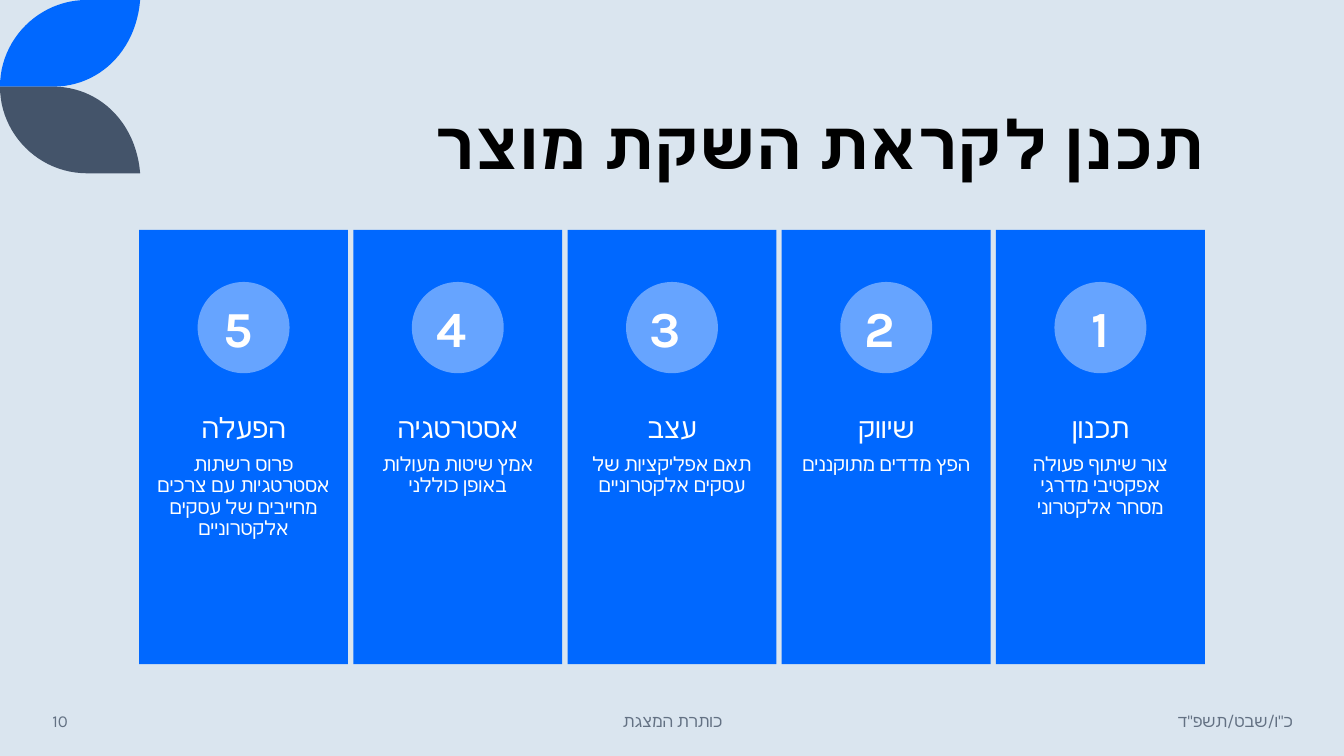
import pptx
import pptx.dml.color
import pptx.enum.shapes
import pptx.enum.text
import pptx.oxml
import pptx.oxml.ns
import pptx.util

SLIDE_WIDTH, SLIDE_HEIGHT = 13.33, 7.5
FONT = "Karla"
COLORS = {
    "background": "DAE5EF",
    "blue": "0068FF",
    "light_blue": "66A4FF",
    "slate": "44546A",
    "title": "000000",
    "white": "FFFFFF",
    "footer": "637183",
}
ALIGN = pptx.enum.text.PP_ALIGN
ANCHOR = pptx.enum.text.MSO_ANCHOR
SHAPE = pptx.enum.shapes.MSO_SHAPE

TITLE = "תכנן לקראת השקת מוצר"
STEPS = [
    ("תכנון", "צור שיתוף פעולה אפקטיבי מדרגי\vמסחר אלקטרוני"),
    ("שיווק", "הפץ מדדים מתוקננים"),
    ("עצב", "תאם אפליקציות של עסקים אלקטרוניים"),
    ("אסטרטגיה", "אמץ שיטות מעולות באופן כוללני"),
    ("הפעלה", "פרוס רשתות אסטרטגיות עם צרכים מחייבים של עסקים אלקטרוניים"),
]
# Left and width of each footer part as shares of the footer, text, alignment
FOOTER = [
    (0.85, 0.15, 'כ"ו/שבט/תשפ"ד', ALIGN.RIGHT),
    (0.32, 0.36, "כותרת המצגת", ALIGN.CENTER),
    (0, 0.15, "10", ALIGN.LEFT),
]


def color(name):
    return pptx.dml.color.RGBColor.from_string(COLORS[name])


def part(box, left, top, width, height):
    """Turn shares of a box into a box of its own."""
    return (box[0] + left * box[2], box[1] + top * box[3],
            width * box[2], height * box[3])


def paint(shape, fill):
    shape.shadow.inherit = False
    shape.fill.solid()
    shape.fill.fore_color.rgb = color(fill)
    shape.line.fill.background()


def add_shape(slide, kind, box, fill):
    paint(slide.shapes.add_shape(kind, *map(pptx.util.Inches, box)), fill)


def add_text_box(slide, box, anchor=ANCHOR.TOP):
    frame = slide.shapes.add_textbox(*map(pptx.util.Inches, box)).text_frame
    frame.word_wrap = True
    frame.vertical_anchor = anchor
    return frame


def write(paragraph, text, size, fill, align, bold=False):
    """Write right-to-left text, with the font set for Hebrew as well."""
    paragraph.text = text
    paragraph.alignment = align
    paragraph.font.name = FONT
    paragraph.font.size = pptx.util.Pt(size)
    paragraph.font.bold = bold
    paragraph.font.color.rgb = color(fill)
    properties = paragraph._p.get_or_add_pPr()
    properties.set("rtl", "1")
    default = properties.find(pptx.oxml.ns.qn("a:defRPr"))
    default.append(pptx.oxml.parse_xml(
        f'<a:cs {pptx.oxml.ns.nsdecls("a")} typeface="{FONT}"/>'))


def curve(points, steps=24):
    """Sample a cubic curve given by its four control points."""
    weights = (1, 3, 3, 1)
    for step in range(1, steps + 1):
        t = step / steps
        yield tuple(
            sum(weights[k] * (1 - t) ** (3 - k) * t ** k * points[k][axis]
                for k in range(4))
            for axis in (0, 1))


def add_leaf(slide, box, fill, mirrored):
    outline = [
        (1, 0), (0.62, 0),
        *curve([(0.62, 0), (0.28, 0), (0, 0.45), (0, 1)]),
        (0.38, 1),
        *curve([(0.38, 1), (0.7, 1), (0.97, 0.6), (1, 0)]),
    ]
    left, top, width, height = box
    points = [
        (pptx.util.Inches(left + x * width),
         pptx.util.Inches(top + (1 - y if mirrored else y) * height))
        for x, y in outline]
    builder = slide.shapes.build_freeform(*points[0])
    builder.add_line_segments(points[1:], close=True)
    paint(builder.convert_to_shape(), fill)


def add_corner(slide, box):
    add_leaf(slide, part(box, 0, 0, 1, 0.5), "blue", False)
    add_leaf(slide, part(box, 0, 0.5, 1, 0.5), "slate", True)


def add_title(slide, box):
    paragraph = add_text_box(slide, box, ANCHOR.BOTTOM).paragraphs[0]
    write(paragraph, TITLE, 48, "title", ALIGN.RIGHT, True)
    paragraph.line_spacing = 0.9


def add_card(slide, box, number, heading, description):
    add_shape(slide, SHAPE.RECTANGLE, box, "blue")

    # Numbered circle
    add_shape(slide, SHAPE.OVAL, part(box, 0.28, 0.12, 0.44, 0.21), "light_blue")
    frame = add_text_box(slide, part(box, 0.41, 0.144, 0.18, 0.165))
    write(frame.paragraphs[0], str(number), 36, "white", ALIGN.CENTER, True)

    # Heading and description
    frame = add_text_box(slide, part(box, 0, 0.4, 1, 0.4))
    frame.margin_left = frame.margin_right = pptx.util.Inches(0.11)
    frame.margin_top = frame.margin_bottom = pptx.util.Inches(0.11)
    for text, size, after in ((heading, 20, 7), (description, 14, 2)):
        first = text == heading
        paragraph = frame.paragraphs[0] if first else frame.add_paragraph()
        write(paragraph, text, size, "white", ALIGN.CENTER)
        paragraph.line_spacing = 0.9
        paragraph.space_after = pptx.util.Pt(after)
    paragraph.level = 1
    properties = paragraph._p.get_or_add_pPr()
    properties.set("marL", "0")
    properties.set("indent", str(pptx.util.Inches(-0.12)))


def add_cards(slide, box):
    """Place the steps from right to left in equal columns."""
    gap = 0.005
    width = (1 - gap * (len(STEPS) - 1)) / len(STEPS)
    for index, (heading, description) in enumerate(STEPS):
        left = 1 - width - index * (width + gap)
        add_card(slide, part(box, left, 0, width, 1),
                 index + 1, heading, description)


def add_footer(slide, box):
    for left, width, text, align in FOOTER:
        frame = add_text_box(slide, part(box, left, 0, width, 1), ANCHOR.MIDDLE)
        write(frame.paragraphs[0], text, 12, "footer", align)


def main():
    presentation = pptx.Presentation()
    presentation.slide_width = pptx.util.Inches(SLIDE_WIDTH)
    presentation.slide_height = pptx.util.Inches(SLIDE_HEIGHT)
    slide = presentation.slides.add_slide(presentation.slide_layouts[6])
    slide.background.fill.solid()
    slide.background.fill.fore_color.rgb = color("background")

    add_corner(slide, (0, 0, 1.39, 1.72))
    add_title(slide, (1.36, 0.42, 10.69, 1.45))
    add_cards(slide, (1.38, 2.28, 10.57, 4.31))
    add_footer(slide, (0.42, 6.95, 12.5, 0.4))
    presentation.save("out.pptx")


if __name__ == "__main__":
    main()
